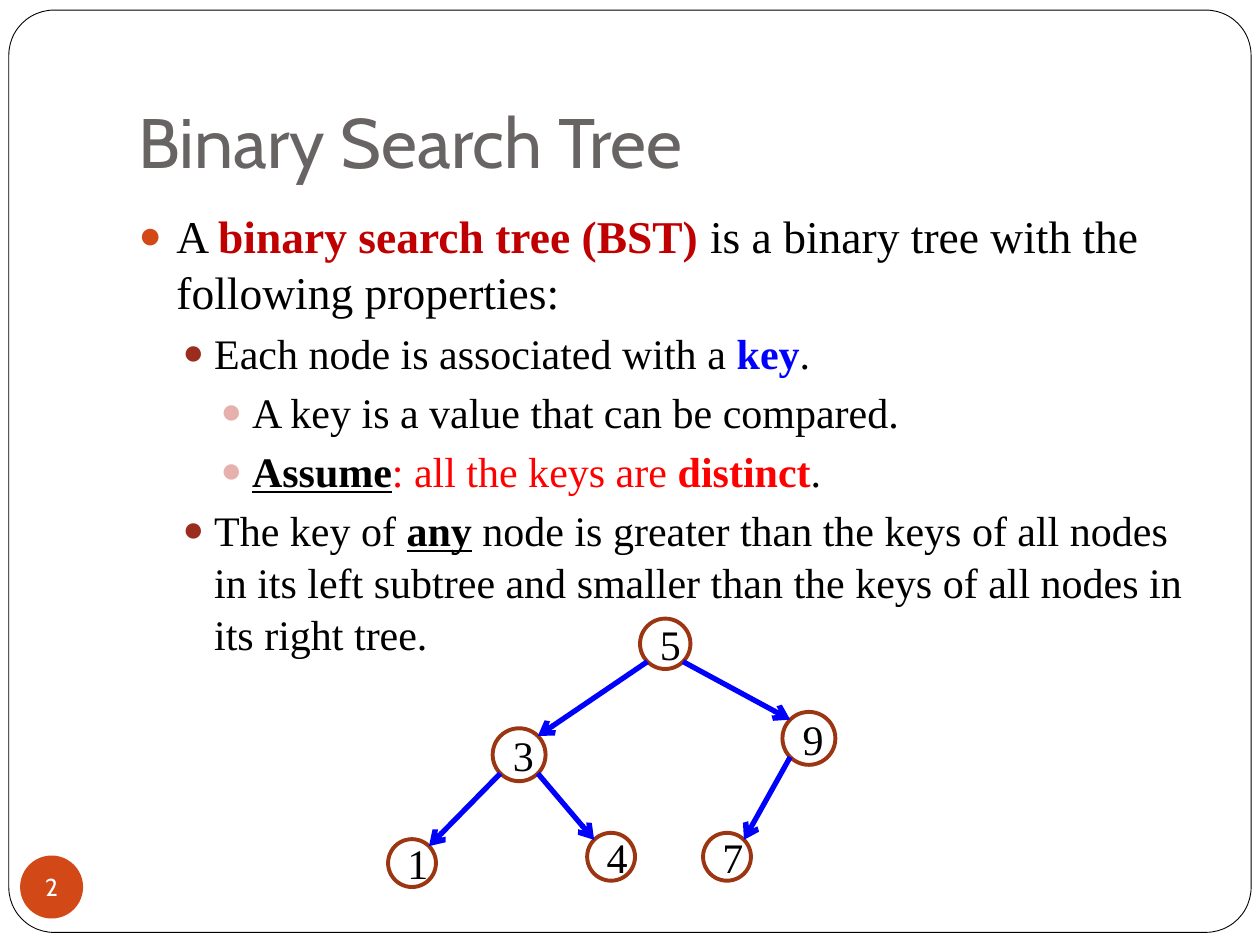
from dataclasses import dataclass
from math import sqrt

from lxml import etree
from pptx import Presentation
from pptx.dml.color import RGBColor
from pptx.enum.shapes import MSO_CONNECTOR, MSO_SHAPE
from pptx.enum.text import MSO_ANCHOR, MSO_AUTO_SIZE, PP_ALIGN
from pptx.oxml.ns import qn
from pptx.util import Inches, Pt

OVAL, ROUND = MSO_SHAPE.OVAL, MSO_SHAPE.ROUNDED_RECTANGLE
LINE = MSO_CONNECTOR.STRAIGHT
MIDDLE, BOTTOM = MSO_ANCHOR.MIDDLE, MSO_ANCHOR.BOTTOM
LEFT, CENTER = PP_ALIGN.LEFT, PP_ALIGN.CENTER
FIXED = MSO_AUTO_SIZE.NONE


@dataclass(frozen=True)
class Theme:
    head: str = "Cabin"
    text: str = "Times New Roman"
    black: str = "000000"
    white: str = "FFFFFF"
    gray: str = "696464"
    orange: str = "D34817"
    crimson: str = "C00000"
    red: str = "FF0000"
    blue: str = "0000FF"
    ring: str = "9C3511"
    title: int = 40
    lead: int = 26
    body: int = 24
    badge: int = 14


T = Theme()

# Per level: indent, hang, space before, type size, bullet colour
LEVELS = [
    (0.3, 0.3, 5.8, T.lead, T.orange),
    (0.6, 0.25, 3.7, T.body, "9B2D1F"),
    (0.9, 0.25, 3.7, T.body, "E6B1AC"),
]

# Level, then runs of text, colour and style (b bold, u underlined)
POINTS = [
    (0, [("A ", T.black, ""), ("binary search tree (BST)", T.crimson, "b"),
         (" is a binary tree with the following properties:", T.black, "")]),
    (1, [("Each node is associated with a ", T.black, ""),
         ("key", T.blue, "b"), (".", T.black, "")]),
    (2, [("A key is a value that can be compared.", T.black, "")]),
    (2, [("Assume", T.black, "bu"), (": all the keys are ", T.red, ""),
         ("distinct", T.red, "b"), (".", T.black, "")]),
    (1, [("The key of ", T.black, ""), ("any", T.black, "bu"),
         (" node is greater than the keys of all nodes in its left subtree "
          "and smaller than the keys of all nodes in its right tree.",
          T.black, "")]),
]

# Key: left, top and size inside the tree box
NODES = {
    "5": (2, 0, 0.4),
    "3": (0.83, 0.87, 0.42),
    "9": (3.13, 0.74, 0.42),
    "1": (0, 1.75, 0.38),
    "4": (1.58, 1.7, 0.38),
    "7": (2.5, 1.7, 0.38),
}
EDGES = ["53", "59", "31", "34", "97"]


def color(code):
    return RGBColor.from_string(code)


def style(font, name, size, code):
    font.name, font.size = name, Pt(size)
    font.color.rgb = color(code)


def move(shape, box):
    shape.left, shape.top, shape.width, shape.height = map(Inches, box)


def add_form(slide, kind, box, fill=None, line=None, width=1):
    form = slide.shapes.add_shape(kind, *map(Inches, box))
    form.shadow.inherit = False
    if fill:
        form.fill.solid()
        form.fill.fore_color.rgb = color(fill)
    else:
        form.fill.background()
    if line:
        form.line.color.rgb = color(line)
        form.line.width = Pt(width)
    else:
        form.line.fill.background()
    return form


def label(form, text, name, size, code):
    frame = form.text_frame
    frame.vertical_anchor = MIDDLE
    para = frame.paragraphs[0]
    para.text, para.alignment = text, CENTER
    style(para.font, name, size, code)
    return frame


def add_bullet(para, indent, hang, code):
    props = para._p.get_or_add_pPr()
    props.set("marL", str(Inches(indent)))
    props.set("indent", str(-Inches(hang)))
    tint = etree.SubElement(props, qn("a:buClr"))
    etree.SubElement(tint, qn("a:srgbClr")).set("val", code)
    etree.SubElement(props, qn("a:buSzPct")).set("val", "85000")
    etree.SubElement(props, qn("a:buChar")).set("char", "●")


def add_frame(slide, box):
    form = add_form(slide, ROUND, box, T.white, T.black, 0.5)
    form.adjustments[0] = 0.049
    # Send behind the placeholders
    slide.shapes._spTree.insert(2, form._element)


def add_title(slide, box):
    title = slide.shapes.title
    move(title, box)
    frame = title.text_frame
    frame.auto_size, frame.vertical_anchor = FIXED, BOTTOM
    frame.margin_bottom = Inches(0.1)
    para = frame.paragraphs[0]
    para.text, para.alignment = "Binary Search Tree", LEFT
    style(para.font, T.head, T.title, T.gray)


def add_points(slide, box):
    body = slide.placeholders[1]
    move(body, box)
    frame = body.text_frame
    frame.auto_size = FIXED
    for i, (level, runs) in enumerate(POINTS):
        para = frame.add_paragraph() if i else frame.paragraphs[0]
        indent, hang, gap, size, tint = LEVELS[level]
        para.level = level
        para.space_before, para.line_spacing = Pt(gap), 1.04
        add_bullet(para, indent, hang, tint)
        for text, code, marks in runs:
            run = para.add_run()
            run.text = text
            style(run.font, T.text, size, code)
            run.font.bold, run.font.underline = "b" in marks, "u" in marks


def add_badge(slide, box):
    form = add_form(slide, OVAL, box, T.orange)
    frame = label(form, "2", T.head, T.badge, T.white)
    frame.word_wrap = False
    frame.margin_left = frame.margin_right = 0
    frame.margin_top = frame.margin_bottom = 0


def corner(node, right, low):
    """Point on the ring, on a diagonal through its centre."""
    x, y, size = node
    near = size * (1 - sqrt(0.5)) / 2
    far = size - near
    return x + (far if right else near), y + (far if low else near)


def add_arrow(slide, start, end):
    arrow = slide.shapes.add_connector(LINE, *map(Inches, start + end))
    arrow.line.color.rgb = color(T.blue)
    arrow.line.width = Pt(3)
    etree.SubElement(arrow.line._get_or_add_ln(),
                     qn("a:tailEnd")).set("type", "arrow")
    etree.SubElement(arrow._element.spPr, qn("a:effectLst"))


def add_tree(slide, left, top):
    spots = {key: (left + x, top + y, size)
             for key, (x, y, size) in NODES.items()}
    for key, (x, y, size) in spots.items():
        form = add_form(slide, OVAL, (x, y, size, size), None, T.ring, 2.25)
        label(form, key, T.text, T.body, T.black)
    # Smaller keys hang to the left, larger to the right
    for top_key, key in EDGES:
        right = key > top_key
        add_arrow(slide, corner(spots[top_key], right, True),
                  corner(spots[key], not right, False))


deck = Presentation()
deck.slide_width, deck.slide_height = Inches(10), Inches(7.5)
page = deck.slides.add_slide(deck.slide_layouts[1])
add_frame(page, (0.07, 0.08, 9.86, 7.32))
add_title(page, (1, 0.3, 8.5, 1.25))
add_badge(page, (0.16, 6.79, 0.5, 0.5))
add_points(page, (1, 1.58, 8.5, 5))
add_tree(page, 3.08, 4.91)
deck.save("out.pptx")
